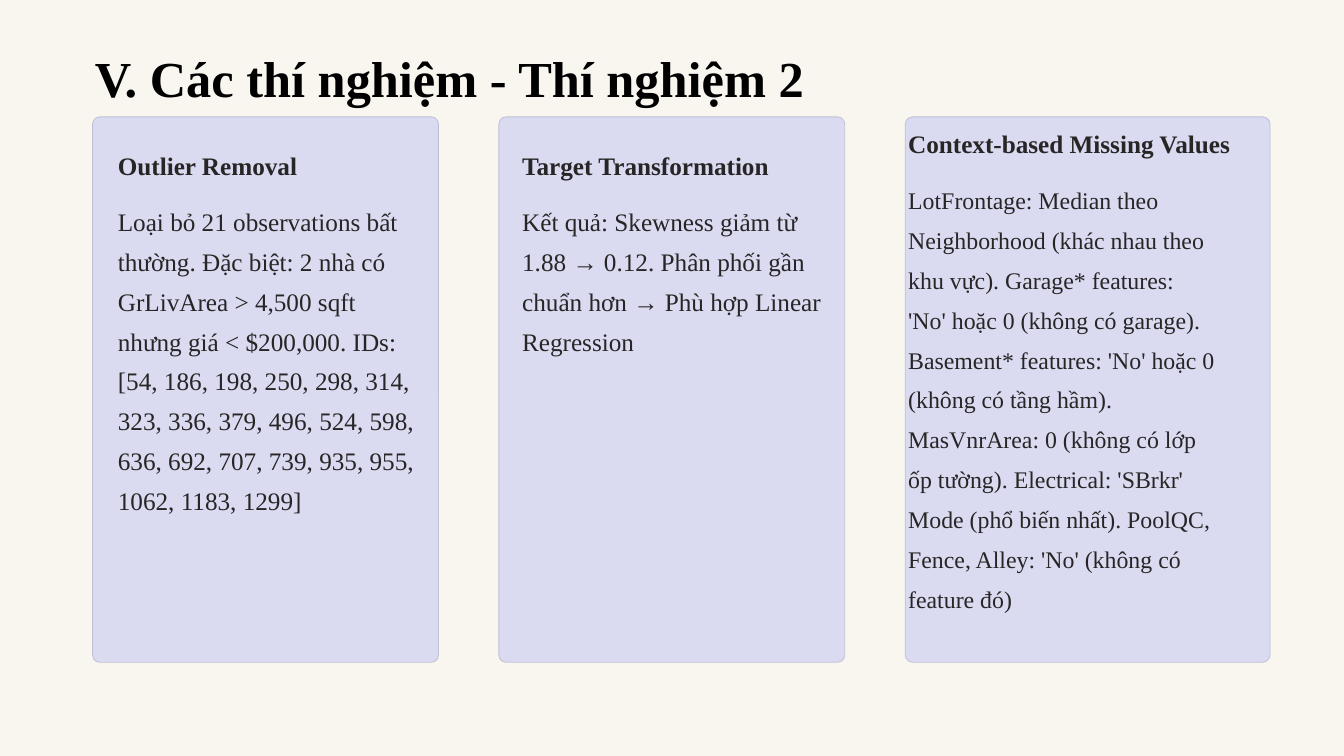
import dataclasses

import pptx
import pptx.dml.color
import pptx.enum.shapes
import pptx.enum.text
import pptx.util

Pt = pptx.util.Pt


@dataclasses.dataclass(frozen=True)
class Theme:
    font: str = "Times New Roman"
    background: str = "F9F6F0"
    card: str = "DADBF1"
    border: str = "C0C1D7"
    title: str = "000000"
    text: str = "272525"
    title_size: float = 36
    text_size: float = 18
    small_size: float = 17


@dataclasses.dataclass(frozen=True)
class Card:
    heading: str
    body: str
    width: float
    inset_left: float
    inset_top: float
    heading_width: float
    body_width: float
    body_height: float
    body_size: float


THEME = Theme()
CARD_LEFT, CARD_TOP, CARD_HEIGHT, CARD_PITCH = 66.2, 83.5, 389.5, 290.2
HEADING_HEIGHT, BODY_DROP = 28, 38.9
HEADING_LEADING, BODY_LEADING = 27.5, 28.5

CARDS = [
    Card("Outlier Removal",
         "Loại bỏ 21 observations bất thường. Đặc biệt: 2 nhà có GrLivArea > 4,500 sqft "
         "nhưng giá < $200,000. IDs: [54, 186, 198, 250, 298, 314, 323, 336, 379, 496, "
         "524, 598, 636, 692, 707, 739, 935, 955, 1062, 1183, 1299]",
         247, 18, 18, 167, 219.6, 200, THEME.text_size),
    Card("Target Transformation",
         "Kết quả: Skewness giảm từ 1.88 → 0.12. Phân phối gần chuẩn hơn → "
         "Phù hợp Linear Regression",
         247, 16.6, 18, 194.4, 224, 129.6, THEME.text_size),
    Card("Context-based Missing Values",
         "LotFrontage: Median theo Neighborhood (khác nhau theo khu vực). "
         "Garage* features: 'No' hoặc 0 (không có garage). "
         "Basement* features: 'No' hoặc 0 (không có tầng hầm). "
         "MasVnrArea: 0 (không có lớp ốp tường). "
         "Electrical: 'SBrkr' Mode (phổ biến nhất). "
         "PoolQC, Fence, Alley: 'No' (không có feature đó)",
         260.6, 2.1, 2.2, 239.8, 219.6, 285.8, THEME.small_size),
]


def color(value):
    return pptx.dml.color.RGBColor.from_string(value)


def set_values(target, values):
    for name, value in values.items():
        setattr(target, name, value)


def write(box, text, size, shade, bold, leading):
    para = box.text_frame.paragraphs[0]
    set_values(para, {"alignment": pptx.enum.text.PP_ALIGN.LEFT,
                      "line_spacing": leading})
    span = para.add_run()
    span.text = text
    set_values(span.font, {"name": THEME.font, "size": Pt(size), "bold": bold})
    span.font.color.rgb = color(shade)


def add_title(page, text):
    title = page.shapes.title
    set_values(title, {"left": Pt(60.5), "top": Pt(35.3),
                       "width": Pt(828), "height": Pt(45.4)})
    set_values(title.text_frame, {
        "word_wrap": True,
        "auto_size": pptx.enum.text.MSO_AUTO_SIZE.NONE,
        "vertical_anchor": pptx.enum.text.MSO_ANCHOR.MIDDLE})
    write(title, text, THEME.title_size, THEME.title, True, 0.9)


def add_text(page, text, left, top, width, height, size, bold, leading):
    box = page.shapes.add_textbox(Pt(left), Pt(top), Pt(width), Pt(height))
    set_values(box.text_frame, {"word_wrap": True, "margin_left": 0, "margin_top": 0,
                                "margin_right": 0, "margin_bottom": 0})
    write(box, text, size, THEME.text, bold, Pt(leading))


def add_card(page, card, left):
    # Panel
    panel = page.shapes.add_shape(pptx.enum.shapes.MSO_SHAPE.ROUNDED_RECTANGLE,
                                  Pt(left), Pt(CARD_TOP), Pt(card.width), Pt(CARD_HEIGHT))
    panel.adjustments[0] = 0.02
    panel.shadow.inherit = False
    panel.fill.solid()
    panel.fill.fore_color.rgb = color(THEME.card)
    panel.line.color.rgb = color(THEME.border)
    panel.line.width = Pt(0.6)

    # Heading and body
    text_left, text_top = left + card.inset_left, CARD_TOP + card.inset_top
    add_text(page, card.heading, text_left, text_top, card.heading_width,
             HEADING_HEIGHT, THEME.text_size, True, HEADING_LEADING)
    add_text(page, card.body, text_left, text_top + BODY_DROP, card.body_width,
             card.body_height, card.body_size, False, BODY_LEADING)


def main():
    deck = pptx.Presentation()
    set_values(deck, {"slide_width": Pt(960), "slide_height": Pt(540)})
    page = deck.slides.add_slide(deck.slide_layouts.get_by_name("Title Only"))
    page.background.fill.solid()
    page.background.fill.fore_color.rgb = color(THEME.background)

    add_title(page, "V. Các thí nghiệm - Thí nghiệm 2")
    for index, card in enumerate(CARDS):
        add_card(page, card, CARD_LEFT + index * CARD_PITCH)

    deck.save("out.pptx")


if __name__ == "__main__":
    main()
